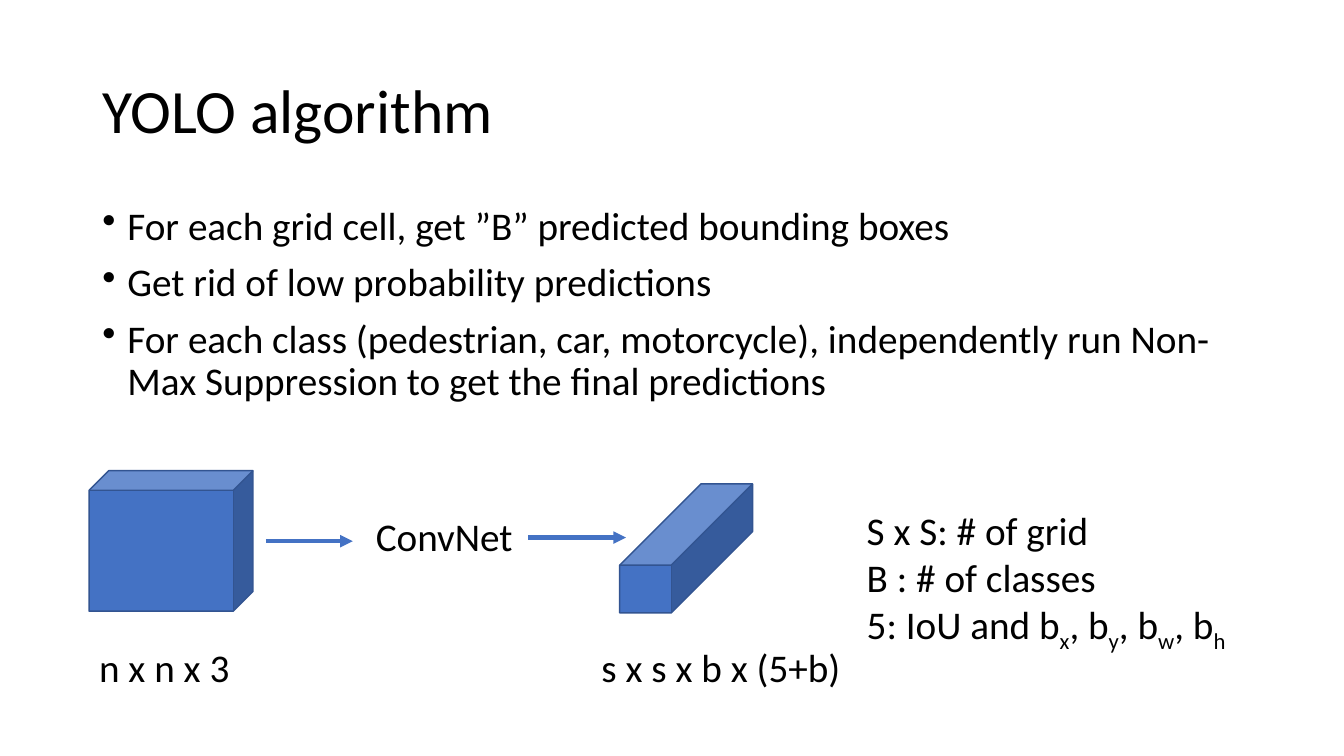
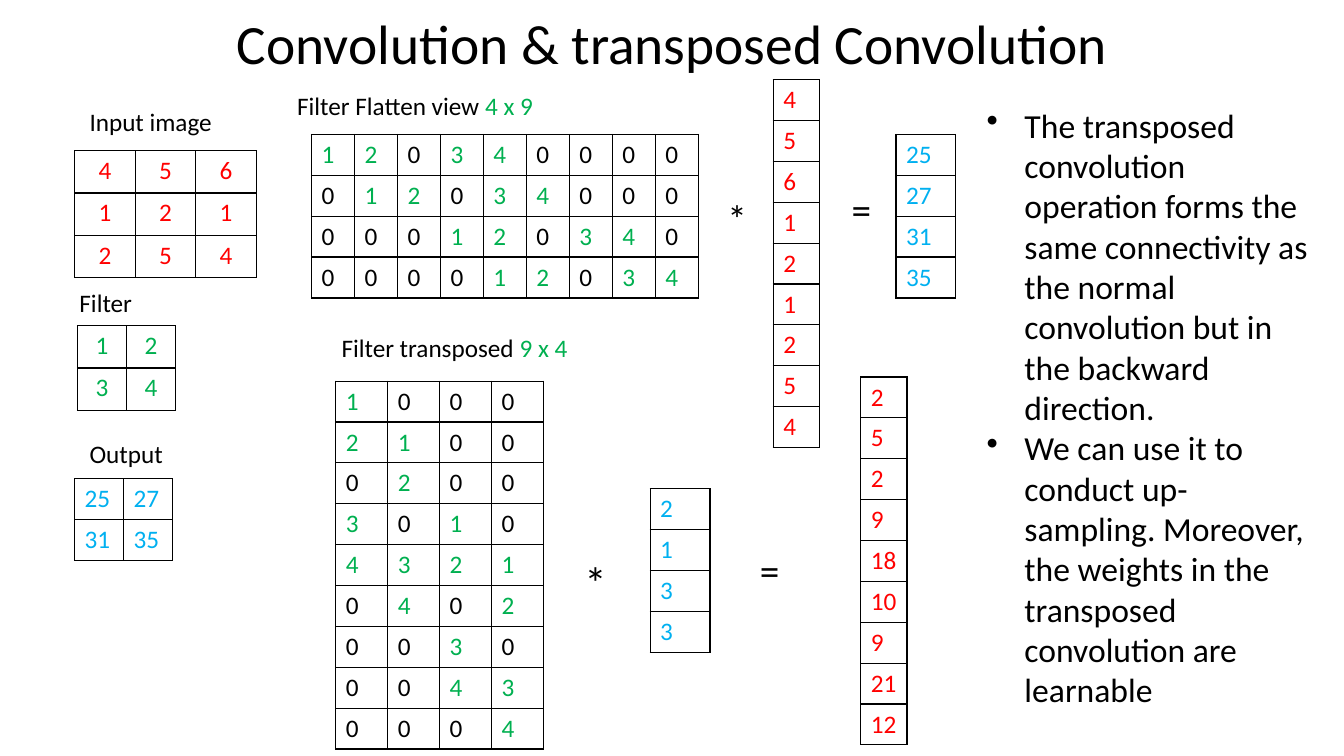
from lxml.etree import SubElement
from pptx import Presentation
from pptx.dml.color import RGBColor
from pptx.enum.shapes import MSO_CONNECTOR, MSO_SHAPE
from pptx.enum.text import MSO_ANCHOR, PP_ALIGN
from pptx.oxml.ns import qn
from pptx.util import Pt

COLORS = {
    "text": "000000",
    "background": "FFFFFF",
    "block": "4472C4",
    "edge": "325491",
    "input": "FF0000",
    "filter": "00B050",
    "output": "00B0F0",
}
FONT = "Calibri"
ROW_HEIGHT = 29.2


def rgb(name):
    return RGBColor.from_string(COLORS[name])


def write(paragraph, text, size=18, color="text", subscript=False):
    run = paragraph.add_run()
    run.text = text
    run.font.name = FONT
    run.font.size = Pt(size)
    run.font.color.rgb = rgb(color)
    if subscript:
        run._r.get_or_add_rPr().set("baseline", "-25000")


class Deck:
    """Holds the shared style and the slide being filled."""

    def __init__(self):
        self.presentation = Presentation()
        self.presentation.slide_width = Pt(960)
        self.presentation.slide_height = Pt(540)
        self.slide = None

    def new_slide(self, title, top, height, size, align=PP_ALIGN.LEFT):
        self.slide = self.presentation.slides.add_slide(self.presentation.slide_layouts[6])
        self.slide.background.fill.solid()
        self.slide.background.fill.fore_color.rgb = rgb("background")
        self.text([title], 66, top, 828, height, size=size, align=align,
                  anchor=MSO_ANCHOR.MIDDLE, line_spacing=0.9)

    def text(self, paragraphs, left, top, width, height, size=18, wrap=True, indent=0,
             align=PP_ALIGN.LEFT, anchor=MSO_ANCHOR.TOP, line_spacing=1.0, gap=0):
        frame = self.slide.shapes.add_textbox(Pt(left), Pt(top), Pt(width), Pt(height)).text_frame
        frame.word_wrap = wrap
        frame.vertical_anchor = anchor
        for index, content in enumerate(paragraphs):
            paragraph = frame.add_paragraph() if index else frame.paragraphs[0]
            if indent:
                properties = paragraph._p.get_or_add_pPr()
                properties.set("marL", str(Pt(indent)))
                properties.set("indent", str(-Pt(indent)))
                SubElement(properties, qn("a:buChar"), char="•")
            paragraph.alignment = align
            paragraph.line_spacing = line_spacing
            paragraph.space_before = Pt(gap if index else 0)
            pieces = [(content, {})] if isinstance(content, str) else content
            for piece, style in pieces:
                write(paragraph, piece, size=size, **style)

    def label(self, content, left, top, width, size=18):
        self.text([content], left, top, width, size * 1.2 + 7.2, size=size, wrap=False)

    def cube(self, left, top, width, height, depth):
        cube = self.slide.shapes.add_shape(MSO_SHAPE.CUBE, Pt(left), Pt(top), Pt(width), Pt(height))
        cube.adjustments[0] = depth
        cube.shadow.inherit = False
        cube.fill.solid()
        cube.fill.fore_color.rgb = rgb("block")
        cube.line.color.rgb = rgb("edge")
        cube.line.width = Pt(1)

    def arrow(self, start, end, y):
        arrow = self.slide.shapes.add_connector(
            MSO_CONNECTOR.STRAIGHT, Pt(start), Pt(y), Pt(end), Pt(y))
        arrow.line.color.rgb = rgb("block")
        arrow.line.width = Pt(3)
        SubElement(arrow.line._get_or_add_ln(), qn("a:tailEnd"), type="triangle")
        SubElement(arrow._element.spPr, qn("a:effectLst"))

    def matrix(self, values, left, top, column, color, row=ROW_HEIGHT, align=PP_ALIGN.LEFT):
        rows, columns = len(values), len(values[0])
        table = self.slide.shapes.add_table(
            rows, columns, Pt(left), Pt(top), Pt(column * columns), Pt(row * rows)).table
        table.first_row = table.horz_banding = False
        for grid_column in table.columns:
            grid_column.width = Pt(column)
        for grid_row, numbers in zip(table.rows, values):
            grid_row.height = Pt(row)
            for cell, number in zip(grid_row.cells, numbers):
                self.border(cell)
                cell.fill.background()
                paragraph = cell.text_frame.paragraphs[0]
                paragraph.alignment = align
                write(paragraph, str(number), color=color if number else "text")

    def border(self, cell):
        properties = cell._tc.get_or_add_tcPr()
        for side in ("lnL", "lnR", "lnT", "lnB"):
            line = SubElement(properties, qn(f"a:{side}"), w=str(Pt(1)))
            fill = SubElement(line, qn("a:solidFill"))
            SubElement(fill, qn("a:srgbClr"), val=COLORS["text"])


def as_column(numbers):
    return [[number] for number in numbers]


def build_yolo(deck):
    deck.new_slide("YOLO algorithm", 28.8, 104.4, 44)
    deck.text([
        "For each grid cell, get ”B” predicted bounding boxes",
        "Get rid of low probability predictions",
        "For each class (pedestrian, car, motorcycle), independently run "
        "Non-Max Suppression to get the final predictions",
    ], 66, 144, 828, 342.7, size=28, indent=18, line_spacing=0.9, gap=10)

    deck.cube(63.7, 336.2, 117, 100.4, 0.14)
    deck.arrow(190, 252, 386.6)
    deck.label("ConvNet", 261.4, 362.2, 113, size=28)
    deck.arrow(377.3, 447.1, 384)
    deck.cube(442.6, 345.6, 95, 92.2, 0.63)
    deck.label("n x n x 3", 63.7, 455.8, 108.7, size=28)
    deck.label("s x s x b x (5+b)", 422.6, 455.8, 188, size=28)

    box_terms = [("5: IoU and b", {})]
    for index, axis in enumerate("xywh"):
        if index:
            box_terms.append((", b", {}))
        box_terms.append((axis, {"subscript": True}))
    deck.text(["S x S: # of grid", "B : # of classes", box_terms],
              612, 357.8, 279.4, 108.7, size=28, wrap=False)


def build_convolution(deck):
    image = [[4, 5, 6], [1, 2, 1], [2, 5, 4]]
    kernel = [[1, 2], [3, 4]]
    output = [[25, 27], [31, 35]]
    flat_filter = [
        [1, 2, 0, 3, 4, 0, 0, 0, 0],
        [0, 1, 2, 0, 3, 4, 0, 0, 0],
        [0, 0, 0, 1, 2, 0, 3, 4, 0],
        [0, 0, 0, 0, 1, 2, 0, 3, 4],
    ]
    transposed_filter = list(zip(*flat_filter))

    deck.new_slide("Convolution & transposed Convolution", 6.5, 53.3, 39.6, PP_ALIGN.CENTER)

    deck.label("Input image", 56.9, 72.7, 103)
    deck.matrix(image, 53.3, 107.6, 43.3, "input", row=30.2, align=PP_ALIGN.CENTER)
    deck.label("Filter", 49.7, 201.6, 52.6)
    deck.matrix(kernel, 55.4, 232.6, 35, "filter", row=30.2, align=PP_ALIGN.CENTER)
    deck.label("Output", 56.9, 309.6, 67.7)
    deck.matrix(output, 53.3, 342, 35, "output")

    deck.label([("Filter Flatten view ", {}), ("4 x 9", {"color": "filter"})], 205.2, 61.2, 185)
    deck.matrix(flat_filter, 222.5, 96, 30.7, "filter")
    deck.label("*", 512.6, 135.4, 28.8, size=28)
    deck.matrix(as_column(sum(image, [])), 552.4, 56.9, 33, "input")
    deck.label("=", 601.2, 128.9, 28.8, size=28)
    deck.matrix(as_column(sum(output, [])), 640, 96, 42.7, "output")

    deck.label([("Filter transposed ", {}), ("9 x 4", {"color": "filter"})], 236.9, 234, 177.8)
    deck.matrix(transposed_filter, 239.9, 272.2, 37.1, "filter")
    deck.label("*", 410.4, 392.4, 31, size=32)
    deck.matrix(as_column([2, 1, 3, 3]), 464.4, 349.2, 42.7, "output")
    deck.label("=", 535.7, 386.6, 28.8, size=28)
    deck.matrix(as_column([2, 5, 2, 9, 18, 10, 9, 21, 12]), 614.9, 269.3, 33, "input")

    deck.text([
        "The transposed convolution operation forms the same connectivity as the "
        "normal convolution but in the backward direction.",
        "We can use it to conduct up-sampling. Moreover, the weights in the "
        "transposed convolution are learnable",
    ], 697.7, 71.3, 251.3, 443.5, size=24, indent=27)


def main():
    deck = Deck()
    build_yolo(deck)
    build_convolution(deck)
    deck.presentation.save("out.pptx")


if __name__ == "__main__":
    main()
